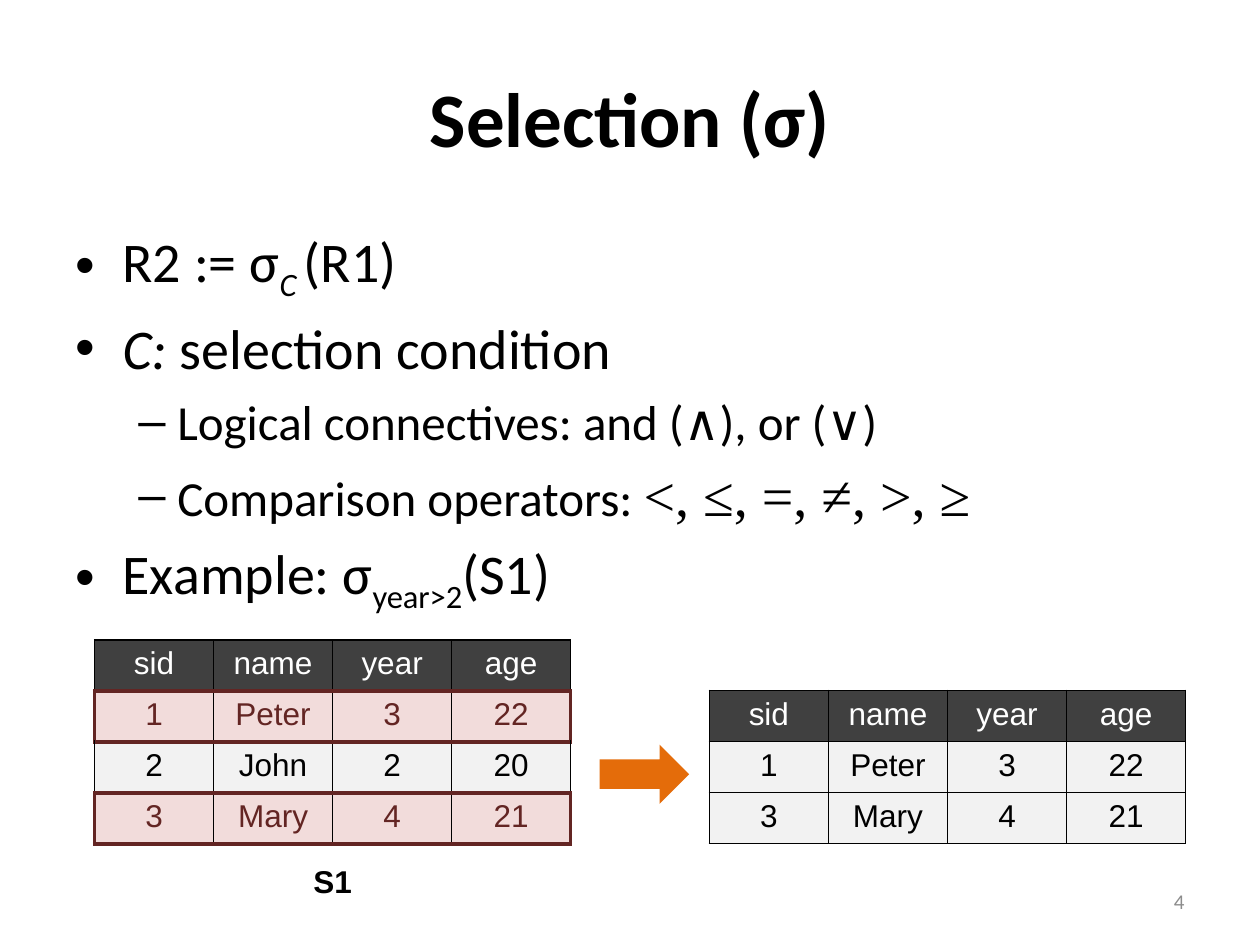
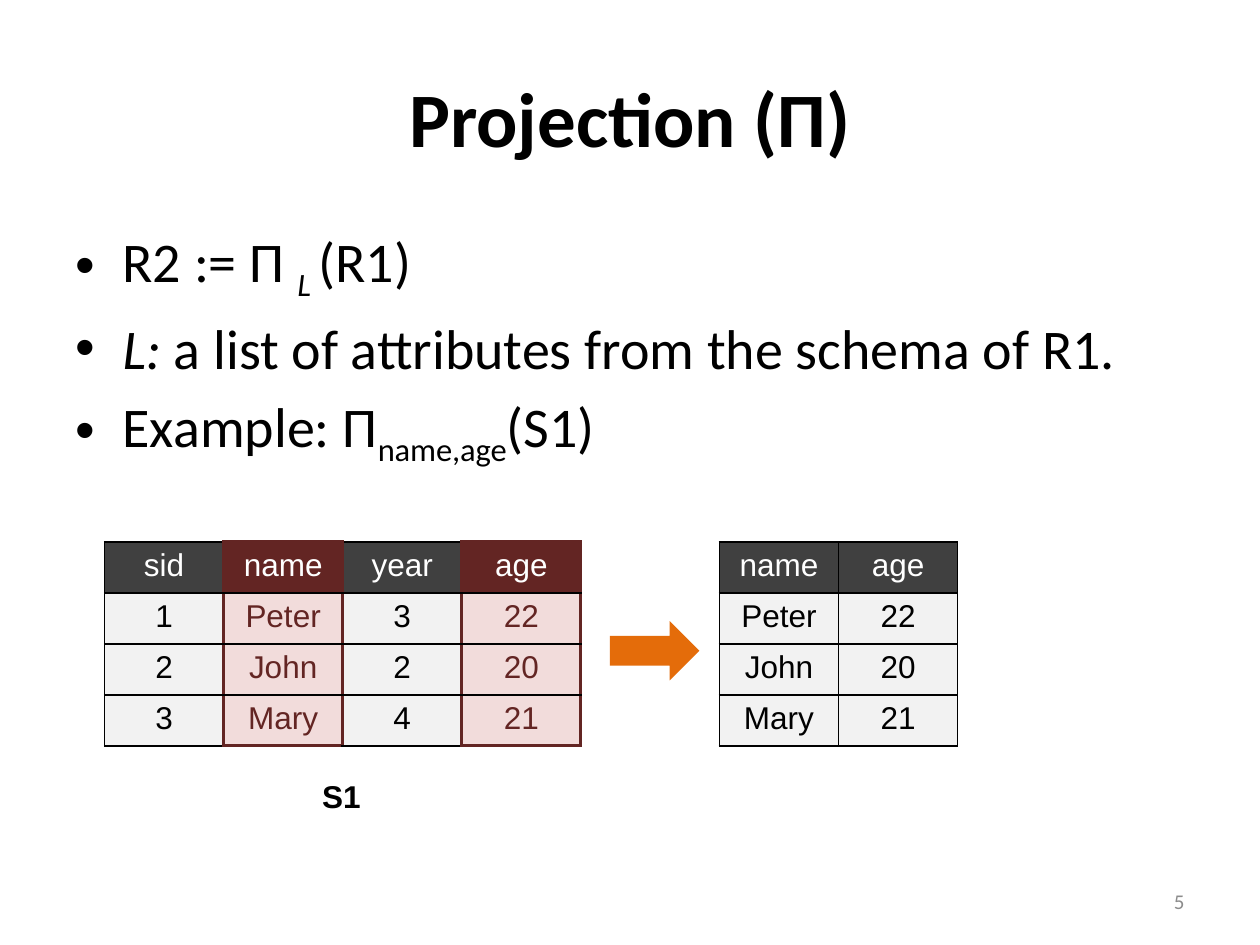
from lxml import etree
from pptx import Presentation
from pptx.dml.color import RGBColor
from pptx.enum import shapes, text
from pptx.oxml import ns
from pptx.util import Inches, Pt

BLACK, WHITE, GRAY = "000000", "FFFFFF", "8C8C8C"
HEADER, CELL, ORANGE = "404040", "F2F2F2", "E46C0A"
MAROON, PINK = "632523", "F2DCDB"
COLUMN_WIDTH, ROW_HEIGHT = 0.945, 0.405
LEVELS = [("•", 0.375, 0.375, 32), ("–", 0.81, 0.31, 28)]
ITALIC = {"italic": True}
SUBSCRIPT = {"baseline": -25}
ITALIC_SUBSCRIPT = {"italic": True, "baseline": -25}
LEFT, CENTER, RIGHT = text.PP_ALIGN.LEFT, text.PP_ALIGN.CENTER, text.PP_ALIGN.RIGHT

SLIDES = [
    {
        "title": "Selection (σ)",
        "number": "4",
        "body": [
            (0, [("R2 := σ", {}), ("C ", ITALIC_SUBSCRIPT), ("(R1)", {})]),
            (0, [("C: ", ITALIC), ("selection condition", {})]),
            (1, [("Logical connectives: and (∧), or (∨)", {})]),
            (1, [("Comparison operators: ", {}),
                 ("<, ≤, =, ≠, >, ≥", {"size": 32, "font": "Times New Roman"})]),
            (0, [("Example: σ", {}), ("year>2", SUBSCRIPT), ("(S1)", {})]),
        ],
        "source_at": (0.75, 5.08),
        "chosen": {(row, column) for row in (1, 3) for column in range(4)},
        "result_at": (5.63, 5.48),
        "result": ["sid name year age", "1 Peter 3 22", "3 Mary 4 21"],
        "arrow_at": (4.76, 5.91),
        "label_at": (2.05, 6.79),
    },
    {
        "title": "Projection (Π)",
        "number": "5",
        "body": [
            (0, [("R2 := Π ", {}), ("L ", ITALIC_SUBSCRIPT), ("(R1)", {})]),
            (0, [("L: ", ITALIC), ("a list of attributes from the schema of R1.", {})]),
            (0, [("Example: Π", {}), ("name,age", SUBSCRIPT), ("(S1)", {})]),
        ],
        "source_at": (0.83, 4.3),
        "chosen": {(row, column) for row in range(4) for column in (1, 3)},
        "result_at": (5.71, 4.3),
        "result": ["name age", "Peter 22", "John 20", "Mary 21"],
        "arrow_at": (4.84, 4.93),
        "label_at": (2.12, 6.12),
    },
]
SOURCE = ["sid name year age", "1 Peter 3 22", "2 John 2 20", "3 Mary 4 21"]


def write(paragraph, words, size=18, font="Calibri", color=BLACK, bold=False,
          italic=False, baseline=0, align=LEFT):
    paragraph.alignment = align
    run = paragraph.add_run()
    run.text = words
    run.font.size = Pt(size)
    run.font.name = font
    run.font.bold = bold
    run.font.italic = italic
    run.font.color.rgb = RGBColor.from_string(color)
    if baseline:
        run._r.get_or_add_rPr().set("baseline", str(baseline * 1000))


def draw_table(slide, position, lines, chosen):
    rows = [line.split() for line in lines]
    row_count, column_count = len(rows), len(rows[0])
    left, top = position
    table = slide.shapes.add_table(
        row_count, column_count, Inches(left), Inches(top),
        Inches(COLUMN_WIDTH * column_count), Inches(ROW_HEIGHT * row_count)).table
    for column in table.columns:
        column.width = Inches(COLUMN_WIDTH)
    for row in table.rows:
        row.height = Inches(ROW_HEIGHT)
    for y, values in enumerate(rows):
        for x, value in enumerate(values):
            picked = (y, x) in chosen
            if y == 0:
                fill, ink = MAROON if picked else HEADER, WHITE
            else:
                fill, ink = (PINK, MAROON) if picked else (CELL, BLACK)
            cell = table.cell(y, x)
            write(cell.text_frame.paragraphs[0], value, font="Arial", color=ink, align=CENTER)
            properties = cell._tc.get_or_add_tcPr()
            neighbors = {"lnL": (y, x - 1), "lnR": (y, x + 1),
                         "lnT": (y - 1, x), "lnB": (y + 1, x)}
            for side, neighbor in neighbors.items():
                outlined = picked != (neighbor in chosen)
                border = etree.SubElement(properties, ns.qn("a:" + side))
                border.set("w", str(Pt(2.25 if outlined else 1)))
                solid = etree.SubElement(border, ns.qn("a:solidFill"))
                etree.SubElement(solid, ns.qn("a:srgbClr"), val=MAROON if outlined else BLACK)
            cell.fill.solid()
            cell.fill.fore_color.rgb = RGBColor.from_string(fill)


presentation = Presentation()
presentation.slide_width = Inches(10)
presentation.slide_height = Inches(7.5)

for content in SLIDES:
    slide = presentation.slides.add_slide(presentation.slide_layouts[6])

    text_boxes = [
        ((0.5, 0.3, 9, 1.25), text.MSO_ANCHOR.MIDDLE, content["title"],
         {"size": 44, "bold": True, "align": CENTER}),
        ((7.17, 6.95, 2.33, 0.4), text.MSO_ANCHOR.MIDDLE, content["number"],
         {"size": 12, "color": GRAY, "align": RIGHT}),
        ((*content["label_at"], 1.18, 0.4), text.MSO_ANCHOR.TOP, "S1",
         {"font": "Arial", "bold": True, "align": CENTER}),
        ((0.5, 1.75, 9, 4.95), text.MSO_ANCHOR.TOP, None, {}),
    ]
    for box, anchor, words, style in text_boxes:
        frame = slide.shapes.add_textbox(*map(Inches, box)).text_frame
        frame.word_wrap = True
        frame.vertical_anchor = anchor
        if words:
            write(frame.paragraphs[0], words, **style)

    for index, (level, runs) in enumerate(content["body"]):
        paragraph = frame.add_paragraph() if index else frame.paragraphs[0]
        bullet, margin, hanging, size = LEVELS[level]
        properties = paragraph._p.get_or_add_pPr()
        properties.set("marL", str(Inches(margin)))
        properties.set("indent", str(-Inches(hanging)))
        etree.SubElement(properties, ns.qn("a:buFont"), typeface="Arial")
        etree.SubElement(properties, ns.qn("a:buChar"), char=bullet)
        if index:
            paragraph.space_before = Pt(6)
        for words, style in runs:
            write(paragraph, words, **{"size": size, **style})

    arrow = slide.shapes.add_shape(
        shapes.MSO_SHAPE.RIGHT_ARROW, *map(Inches, (*content["arrow_at"], 0.71, 0.47)))
    arrow.shadow.inherit = False
    arrow.fill.solid()
    arrow.fill.fore_color.rgb = RGBColor.from_string(ORANGE)
    arrow.line.fill.background()

    draw_table(slide, content["source_at"], SOURCE, content["chosen"])
    draw_table(slide, content["result_at"], content["result"], set())

presentation.save("out.pptx")
